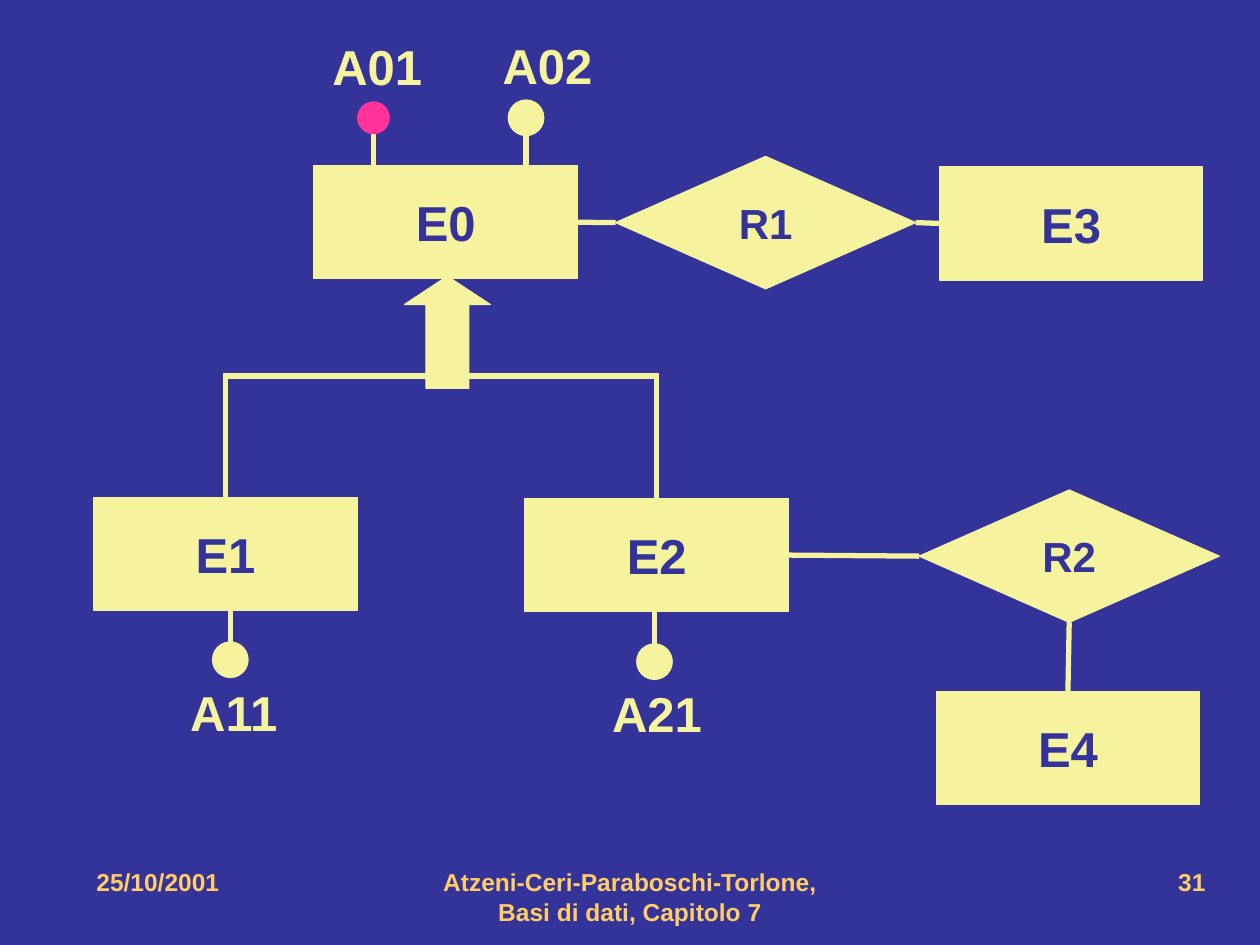
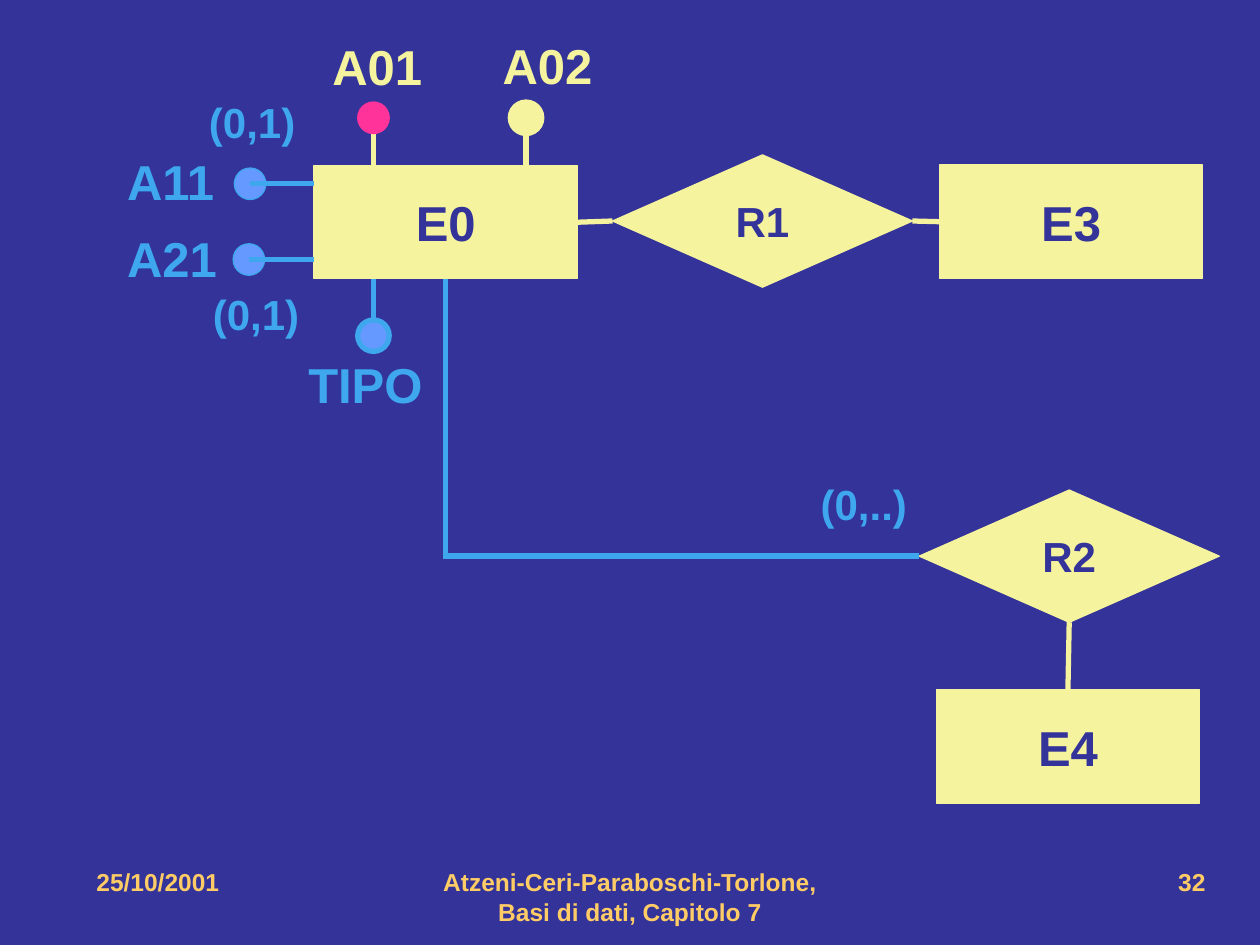
from lxml import etree
from pptx import Presentation
from pptx.dml.color import RGBColor
from pptx.enum import shapes, text
from pptx.oxml import ns
from pptx.util import Pt

BLUE, CREAM, PINK = "333399", "F5F39D", "FF3399"
SKY, DOT_BLUE, GOLD = "3EA7EE", "6699FF", "FFCC66"
FONT = "Arial"
ENTITY_W, ENTITY_H = 150.5, 64.8
RELATION_W, RELATION_H = 171.4, 75.6
DOT = 18
LINK_W = 3
SHAPE = shapes.MSO_SHAPE
ALIGN = text.PP_ALIGN
TOP, LEFT, BOTTOM, RIGHT = range(4)


def rgb(value):
    return RGBColor.from_string(value)


def write(shape, words, size, color, align=ALIGN.LEFT, wrap=False):
    tf = shape.text_frame
    tf.text = words
    tf.word_wrap = wrap
    p = tf.paragraphs[0]
    p.alignment = align
    for r in p.runs:
        r.font.name, r.font.size, r.font.bold = FONT, Pt(size), True
        r.font.color.rgb = rgb(color)
    return tf


def text_box(s, words, box, size, color, align=ALIGN.LEFT, wrap=False):
    sp = s.shapes.add_textbox(*map(Pt, box))
    return write(sp, words, size, color, align, wrap)


def preset(s, kind, box, fill=CREAM, line=CREAM, weight=0.75):
    sp = s.shapes.add_shape(kind, *map(Pt, box))
    sp.shadow.inherit = False
    sp.fill.solid()
    sp.fill.fore_color.rgb = rgb(fill)
    sp.line.color.rgb = rgb(line)
    sp.line.width = Pt(weight)
    return sp


def entity(s, name, x, y):
    sp = preset(s, SHAPE.RECTANGLE, (x, y, ENTITY_W, ENTITY_H))
    write(sp, name, 28, BLUE, ALIGN.CENTER)
    return sp


def relationship(s, name, x, y):
    sp = preset(s, SHAPE.DIAMOND, (x, y, RELATION_W, RELATION_H))
    write(sp, name, 24, BLUE, ALIGN.CENTER)
    return sp


def straight(s, x1, y1, x2, y2, color=CREAM):
    c = s.shapes.add_connector(shapes.MSO_CONNECTOR.STRAIGHT,
                               *map(Pt, (x1, y1, x2, y2)))
    c.line.color.rgb = rgb(color)
    c.line.width = Pt(LINK_W)
    etree.SubElement(c._element.spPr, ns.qn("a:effectLst"))
    return c


def send_to_back(sp):
    sp._element.getparent().insert(2, sp._element)


def join(s, a, a_side, b, b_side):
    c = straight(s, 0, 0, 0, 0)
    c.begin_connect(a, a_side)
    c.end_connect(b, b_side)


def bent(s, points, color=CREAM):
    """Draw an open line with right-angled corners through the points."""
    start, *rest = [(Pt(x), Pt(y)) for x, y in points]
    builder = s.shapes.build_freeform(*start)
    builder.add_line_segments(rest, close=False)
    sp = builder.convert_to_shape()
    sp.shadow.inherit = False
    sp.fill.background()
    sp.line.color.rgb = rgb(color)
    sp.line.width = Pt(LINK_W)
    ln = sp._element.spPr.find(ns.qn("a:ln"))
    etree.SubElement(ln, ns.qn("a:miter"), lim="800000")


def edges(sp):
    """Return left, top, right and bottom in points."""
    x, y = sp.left.pt, sp.top.pt
    return x, y, x + sp.width.pt, y + sp.height.pt


def attribute(s, owner, name, side, along, gap, label, fill=CREAM, line=CREAM,
              weight=LINK_W, color=CREAM, reach=54):
    """Hang a labelled dot on a side; label is its offset from the dot centre.

    A vertical link is as long as reach and runs on behind its owner.
    """
    left, top, _, bottom = edges(owner)
    if side == LEFT:
        x, y = left - gap, top + along
        link = x, y, left, y
    elif side == TOP:
        x, y = left + along, top - gap
        link = x, y + DOT / 2, x, y + DOT / 2 + reach
    else:
        x, y = left + along, bottom + gap
        dot_top = y - DOT / 2 + 2
        link = x, dot_top - reach, x, dot_top
    preset(s, SHAPE.OVAL, (x - DOT / 2, y - DOT / 2, DOT, DOT),
           fill, line, weight)
    c = straight(s, *link, color)
    if side != LEFT:
        send_to_back(c)
    box = x + label[0], y + label[1], 82 if len(name) > 3 else 65.5, 41
    tf = text_box(s, name, box, 28, color)
    tf.auto_size = text.MSO_AUTO_SIZE.SHAPE_TO_FIT_TEXT


def cardinality(s, owner, words, dx, dy):
    left, top, _, _ = edges(owner)
    tf = text_box(s, words, (left + dx, top + dy, 68, 36), 24, SKY, ALIGN.CENTER)
    tf.vertical_anchor = text.MSO_ANCHOR.MIDDLE
    tf.auto_size = text.MSO_AUTO_SIZE.SHAPE_TO_FIT_TEXT


def hierarchy(s, parent, first, second):
    """Draw the generalisation arrow and the bracket over the two children."""
    left, _, right, bottom = edges(parent)
    x1, x2 = (sp.left.pt + ENTITY_W / 2 for sp in (first, second))
    bar = bottom + 55.5
    bent(s, [(x1, first.top.pt), (x1, bar), (x2, bar), (x2, second.top.pt)])
    arrow = preset(s, SHAPE.UP_ARROW,
                   ((left + right) / 2 + 1 - 24.5, bottom - 1.5, 49, 64))
    arrow.adjustments[0], arrow.adjustments[1] = 0.5, 0.33


def footer(s, number):
    for words, x, width, align in (
            ("25/10/2001", 48, 156, ALIGN.LEFT),
            ("Atzeni-Ceri-Paraboschi-Torlone, Basi di dati, Capitolo 7",
             246, 228, ALIGN.CENTER),
            (str(number), 516, 180, ALIGN.RIGHT)):
        text_box(s, words, (x, 492, width, 36), 14, GOLD, align, wrap=True)


def schema_slide(prs, number, r1_at, e3_at, e4_at):
    """Add a slide with the parts both schemas share; return it, E0 and R2."""
    s = prs.slides.add_slide(prs.slide_layouts[6])
    e0 = entity(s, "E0", 179.4, 94.6)
    r1 = relationship(s, "R1", *r1_at)
    e3 = entity(s, "E3", *e3_at)
    r2 = relationship(s, "R2", 525.3, 280)
    e4 = entity(s, "E4", *e4_at)
    attribute(s, e0, "A01", TOP, 34, 27.3, (-30.6, -50), PINK, PINK, 0.75)
    attribute(s, e0, "A02", TOP, 121.2, 27.3, (-20.5, -50.7))
    join(s, e0, RIGHT, r1, LEFT)
    join(s, r1, RIGHT, e3, LEFT)
    join(s, r2, BOTTOM, e4, TOP)
    footer(s, number)
    return s, e0, r2


def generalisation_slide(prs):
    s, e0, r2 = schema_slide(prs, 31, (351.8, 89.4), (536.8, 95.3), (535, 395))
    e1 = entity(s, "E1", 53.6, 284.2)
    e2 = entity(s, "E2", 300, 284.8)
    hierarchy(s, e0, e1, e2)
    join(s, e2, RIGHT, r2, LEFT)
    attribute(s, e1, "A11", BOTTOM, 78, 28, (-30, 9.5), reach=30)
    attribute(s, e2, "A21", BOTTOM, 74, 28.5, (-31.3, 9), reach=30)


def merged_slide(prs):
    s, e0, r2 = schema_slide(prs, 32, (350, 88.5), (536.8, 94.3), (535, 394.2))
    sky = {"fill": DOT_BLUE, "line": SKY, "color": SKY}
    attribute(s, e0, "A11", LEFT, 10.4, 36.5, (-77.4, -22.2), weight=0.75, **sky)
    attribute(s, e0, "A21", LEFT, 53.7, 37.2, (-76.7, -21.4), weight=0.75, **sky)
    attribute(s, e0, "TIPO", BOTTOM, 34, 32.4, (-44.3, 7.5), **sky)
    cardinality(s, e0, "(0,1)", -69.3, -42.8)
    cardinality(s, e0, "(0,1)", -67.1, 66.7)
    cardinality(s, r2, "(0,..)", -65.7, -10)
    left, _, right, bottom = edges(e0)
    corner_x, corner_y = (left + right) / 2, r2.top.pt + RELATION_H / 2
    bent(s, [(corner_x, bottom), (corner_x, corner_y), (r2.left.pt, corner_y)], SKY)


def main():
    prs = Presentation()
    prs.slide_width, prs.slide_height = Pt(720), Pt(540)
    background = prs.slide_master.background.fill
    background.solid()
    background.fore_color.rgb = rgb(BLUE)
    generalisation_slide(prs)
    merged_slide(prs)
    prs.save("out.pptx")


if __name__ == "__main__":
    main()
